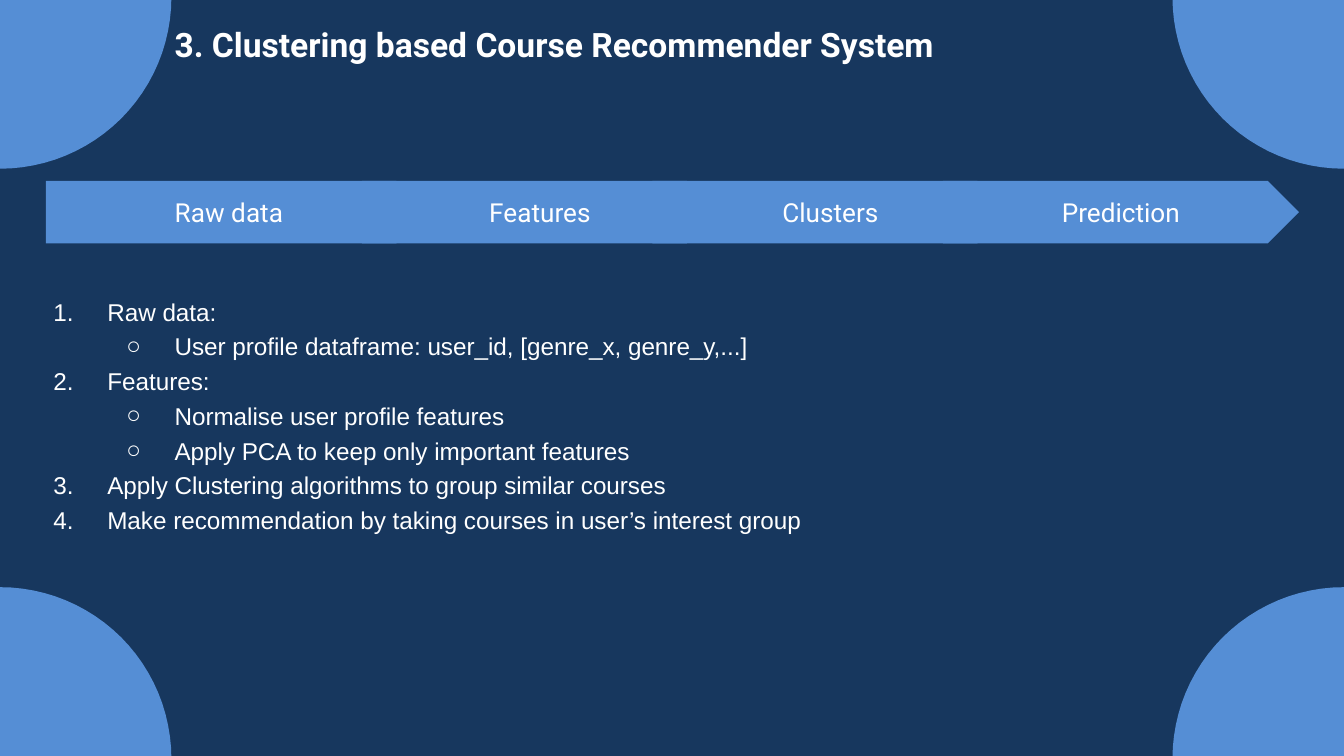
from math import cos, pi, sin

from lxml.etree import SubElement
from pptx import Presentation
from pptx.dml.color import RGBColor
from pptx.enum.shapes import MSO_SHAPE
from pptx.enum.text import MSO_ANCHOR, PP_ALIGN
from pptx.oxml.ns import qn
from pptx.util import Cm, Pt

NAVY = RGBColor(0x17, 0x37, 0x5E)
BLUE = RGBColor(0x55, 0x8E, 0xD5)
WHITE = RGBColor(0xFF, 0xFF, 0xFF)

SLIDE_WIDTH = 25.4
SLIDE_HEIGHT = 14.29
CORNER_RADIUS = 3.24
CORNER_STEPS = 24

STAGES = ["Raw data", "Features", "Clusters", "Prediction"]
STEPS = [
    ("Raw data:", ["User profile dataframe: user_id, [genre_x, genre_y,...]"]),
    ("Features:", ["Normalise user profile features",
                   "Apply PCA to keep only important features"]),
    ("Apply Clustering algorithms to group similar courses", []),
    ("Make recommendation by taking courses in user’s interest group", []),
]


def paint(shape, color):
    shape.shadow.inherit = False
    shape.fill.solid()
    shape.fill.fore_color.rgb = color
    shape.line.fill.background()


def clear_margins(text_frame):
    text_frame.margin_left = text_frame.margin_right = 0
    text_frame.margin_top = text_frame.margin_bottom = 0


def write(paragraph, text, *, size, font="Roboto", bold=False,
          align=PP_ALIGN.LEFT, space_before=0):
    paragraph.alignment = align
    paragraph.space_before = Pt(space_before)
    run = paragraph.add_run()
    run.text = text
    run.font.name = font
    run.font.size = Pt(size)
    run.font.bold = bold
    run.font.color.rgb = WHITE


def add_text_box(slide, left, top, width, height):
    box = slide.shapes.add_textbox(Cm(left), Cm(top), Cm(width), Cm(height))
    text_frame = box.text_frame
    text_frame.word_wrap = True
    clear_margins(text_frame)
    return text_frame


def add_background(slide):
    shape = slide.shapes.add_shape(
        MSO_SHAPE.RECTANGLE, 0, 0, Cm(SLIDE_WIDTH), Cm(SLIDE_HEIGHT))
    paint(shape, NAVY)


def add_corner(slide, x, y, x_direction, y_direction):
    angles = [pi / 2 * step / CORNER_STEPS for step in range(CORNER_STEPS + 1)]
    arc = [(Cm(x + x_direction * CORNER_RADIUS * cos(angle)),
            Cm(y + y_direction * CORNER_RADIUS * sin(angle)))
           for angle in angles]
    builder = slide.shapes.build_freeform(Cm(x), Cm(y))
    builder.add_line_segments(arc, close=True)
    paint(builder.convert_to_shape(), BLUE)


def add_stage(slide, kind, left, width, label):
    shape = slide.shapes.add_shape(kind, Cm(left), Cm(3.42), Cm(width), Cm(1.18))
    paint(shape, BLUE)
    text_frame = shape.text_frame
    clear_margins(text_frame)
    text_frame.vertical_anchor = MSO_ANCHOR.MIDDLE
    write(text_frame.paragraphs[0], label, size=14, align=PP_ALIGN.CENTER)


def add_process(slide):
    add_stage(slide, MSO_SHAPE.PENTAGON, 0.87, 7.21, STAGES[0])
    for index, label in enumerate(STAGES[1:]):
        add_stage(slide, MSO_SHAPE.CHEVRON, 6.84 + 5.49 * index, 6.73, label)


def set_bullet(paragraph, left, hanging, tag, **attributes):
    properties = paragraph._p.get_or_add_pPr()
    properties.set("marL", str(Cm(left)))
    properties.set("indent", str(-Cm(hanging)))
    SubElement(properties, qn("a:buFont"), typeface="Arial")
    SubElement(properties, qn(tag), **attributes)


def add_steps(slide):
    text_frame = add_text_box(slide, 0.99, 5.49, 14.22, 4.5)
    text_frame.margin_top = Cm(0.12)
    paragraph = text_frame.paragraphs[0]
    for step, details in STEPS:
        if paragraph.runs:
            paragraph = text_frame.add_paragraph()
        write(paragraph, step, size=13, font="Arial", space_before=3)
        set_bullet(paragraph, 1.04, 1.02, "a:buAutoNum", type="arabicPeriod")
        for detail in details:
            paragraph = text_frame.add_paragraph()
            paragraph.level = 1
            write(paragraph, detail, size=13, font="Arial", space_before=3)
            set_bullet(paragraph, 2.31, 0.91, "a:buChar", char="○")


def main():
    presentation = Presentation()
    presentation.slide_width = Cm(SLIDE_WIDTH)
    presentation.slide_height = Cm(SLIDE_HEIGHT)
    slide = presentation.slides.add_slide(presentation.slide_layouts[6])

    add_background(slide)
    for y, y_direction in ((-0.05, 1), (14.34, -1)):
        for x, x_direction in ((0, 1), (SLIDE_WIDTH, -1)):
            add_corner(slide, x, y, x_direction, y_direction)

    title = add_text_box(slide, 3.3, 0.46, 18.5, 0.81)
    write(title.paragraphs[0], "3. Clustering based Course Recommender System",
          size=18, bold=True)
    add_process(slide)
    add_steps(slide)
    presentation.save("out.pptx")


if __name__ == "__main__":
    main()
